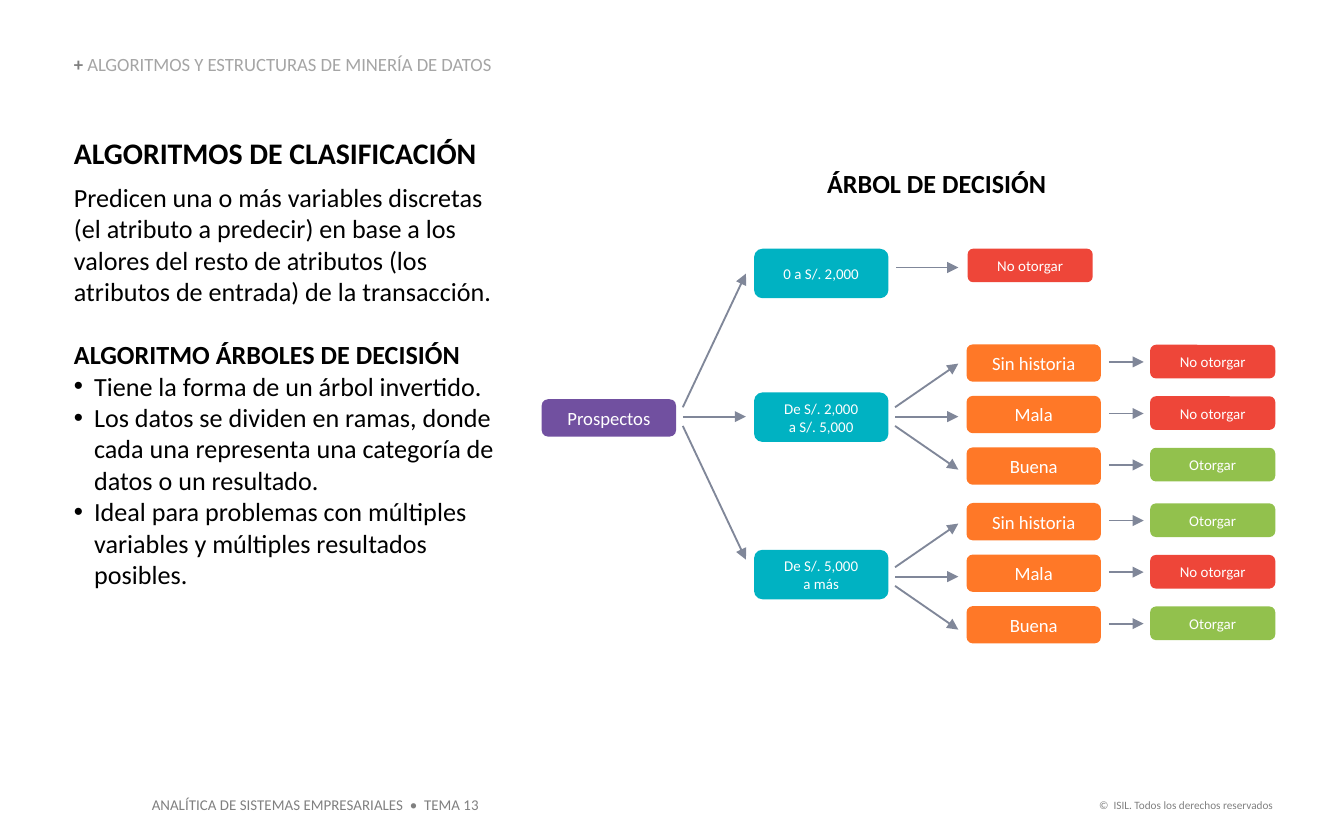
from dataclasses import dataclass

from lxml import etree
from pptx import Presentation
from pptx.dml.color import RGBColor
from pptx.enum import shapes, text
from pptx.oxml import ns
from pptx.util import Pt

BLACK = RGBColor(0x00, 0x00, 0x00)
WHITE = RGBColor(0xFF, 0xFF, 0xFF)
GRAY = RGBColor(0x80, 0x80, 0x80)
DARK = RGBColor(0x7F, 0x7F, 0x7F)
PALE = RGBColor(0xA5, 0xA5, 0xA5)
SLATE = RGBColor(0x80, 0x87, 0x99)
PURPLE = RGBColor(0x71, 0x50, 0xA0)
TEAL = RGBColor(0x00, 0xB2, 0xC2)
ORANGE = RGBColor(0xFF, 0x78, 0x27)
RED = RGBColor(0xEE, 0x46, 0x39)
GREEN = RGBColor(0x92, 0xC1, 0x4D)

FACE = "Calibri"
LEFT, CENTER, RIGHT = text.PP_ALIGN.LEFT, text.PP_ALIGN.CENTER, text.PP_ALIGN.RIGHT
STEP = 27.6  # between the rows of one branch


@dataclass(frozen=True)
class Style:
    left: float
    width: float
    height: float
    size: float


@dataclass(frozen=True)
class Para:
    words: str
    size: float = 14
    bold: bool = False
    bullet: bool = False
    before: float = 0
    after: float = 0


@dataclass(frozen=True)
class Label:
    words: str
    box: tuple[float, float, float, float]
    size: float
    color: RGBColor
    align: text.PP_ALIGN
    bold: bool = False
    wrap: bool = False


ROOT = Style(290.2, 72, 20, 10)
RANGE = Style(404, 72, 26.5, 8)
PAST = Style(517.8, 72, 20, 10)
SHORT = Style(518.4, 67, 18, 8)
RESULT = Style(616.2, 67, 18, 8)

BODY = [
    Para("ALGORITMOS DE CLASIFICACIÓN", size=16, bold=True, after=6),
    Para("Predicen una o más variables discretas (el atributo a predecir) en base "
         "a los valores del resto de atributos (los atributos de entrada) de la "
         "transacción."),
    Para("ALGORITMO ÁRBOLES DE DECISIÓN", bold=True, before=17),
    Para("Tiene la forma de un árbol invertido.", bullet=True),
    Para("Los datos se dividen en ramas, donde cada una representa una categoría "
         "de datos o un resultado.", bullet=True),
    Para("Ideal para problemas con múltiples variables y múltiples resultados "
         "posibles.", bullet=True),
]
LABELS = [
    Label("ANALÍTICA DE SISTEMAS EMPRESARIALES  •  TEMA 13",
          (74.2, 422.6, 190, 17), 8, GRAY, LEFT),
    Label("©  ISIL. Todos los derechos reservados",
          (579.6, 424, 109.4, 14.4), 6, GRAY, RIGHT),
    Label("ÁRBOL DE DECISIÓN", (396, 86.4, 211.7, 24.5), 14, BLACK, CENTER,
          bold=True, wrap=True),
]
RANGES = [("0 a S/. 2,000", 146.5), ("De S/. 2,000\na S/. 5,000", 223.5),
          ("De S/. 5,000\na más", 307.8)]
PASTS = ["Sin historia", "Mala", "Buena"]
YES, NO = ("Otorgar", GREEN), ("No otorgar", RED)
# Centre of the first row, arrow origin, results
BRANCHES = [(194.5, 223.2, [NO, NO, YES]), (279.5, 308.9, [YES, NO, YES])]


def set_font(font, size: float, color: RGBColor, bold: bool = False) -> None:
    font.name, font.size, font.bold = FACE, Pt(size), bold
    font.color.rgb = color


def place(shape, left: float, top: float, width: float, height: float) -> None:
    shape.left, shape.top = Pt(left), Pt(top)
    shape.width, shape.height = Pt(width), Pt(height)


def clear_insets(frame) -> None:
    frame.margin_left = frame.margin_right = Pt(0)
    frame.margin_top = frame.margin_bottom = Pt(0)


def add_node(slide, style: Style, mid: float, words: str, color: RGBColor) -> None:
    """Draw a rounded box whose vertical centre is mid."""
    node = slide.shapes.add_shape(
        shapes.MSO_SHAPE.ROUNDED_RECTANGLE, Pt(style.left),
        Pt(mid - style.height / 2), Pt(style.width), Pt(style.height))
    node.adjustments[0] = 0.17
    node.shadow.inherit = False
    node.fill.solid()
    node.fill.fore_color.rgb = color
    node.line.fill.background()
    frame = node.text_frame
    clear_insets(frame)
    frame.word_wrap = True
    frame.vertical_anchor = text.MSO_ANCHOR.MIDDLE
    frame.text = words
    for para in frame.paragraphs:
        para.alignment = CENTER
        set_font(para.font, style.size, WHITE)


def add_arrow(slide, x1: float, y1: float, x2: float, y2: float) -> None:
    arrow = slide.shapes.add_connector(
        shapes.MSO_CONNECTOR.STRAIGHT, Pt(x1), Pt(y1), Pt(x2), Pt(y2))
    arrow.line.color.rgb = SLATE
    arrow.line.width = Pt(1)
    etree.SubElement(arrow.line._get_or_add_ln(), ns.qn("a:tailEnd"), type="triangle")
    etree.SubElement(arrow._element.spPr, ns.qn("a:effectLst"))


def add_fan(slide, x1: float, x2: float, mid: float, spread: float) -> None:
    """Draw three arrows that open up and down from mid."""
    for side in (-1, 0, 1):
        add_arrow(slide, x1, mid + 5 * side, x2, mid + spread * side)


def add_label(slide, label: Label) -> None:
    frame = slide.shapes.add_textbox(*map(Pt, label.box)).text_frame
    frame.word_wrap = label.wrap
    para = frame.paragraphs[0]
    para.text = label.words
    para.alignment = label.align
    set_font(para.font, label.size, label.color, label.bold)


def fill_title(title) -> None:
    place(title, 39.6, 29.5, 346.3, 10.8)
    frame = title.text_frame
    clear_insets(frame)
    frame.auto_size = text.MSO_AUTO_SIZE.NONE
    frame.vertical_anchor = text.MSO_ANCHOR.BOTTOM
    para = frame.paragraphs[0]
    para.alignment, para.line_spacing = LEFT, 0.9
    for words, color, bold in [("+ ", DARK, True),
                               ("ALGORITMOS Y ESTRUCTURAS DE MINERÍA DE DATOS", PALE, False)]:
        run = para.add_run()
        run.text = words
        set_font(run.font, 10, color, bold)


def fill_body(body) -> None:
    place(body, 39.6, 72, 234, 252.7)
    frame = body.text_frame
    clear_insets(frame)
    frame.auto_size = text.MSO_AUTO_SIZE.NONE
    frame.text = "\n".join(item.words for item in BODY)
    for para, item in zip(frame.paragraphs, BODY):
        para.space_before, para.space_after = Pt(item.before), Pt(item.after)
        props = para._p.get_or_add_pPr()
        indent = Pt(10.8) if item.bullet else 0
        props.set("marL", str(indent))
        props.set("indent", str(-indent))
        if item.bullet:
            etree.SubElement(props, ns.qn("a:buChar"), char="•")
        else:
            etree.SubElement(props, ns.qn("a:buNone"))
        set_font(para.font, item.size, BLACK, item.bold)


def draw_tree(slide) -> None:
    add_node(slide, ROOT, 223.9, "Prospectos", PURPLE)
    add_fan(slide, 365.8, 399.6, 223.2, 76.6)
    for words, mid in RANGES:
        add_node(slide, RANGE, mid, words, TEAL)
    add_arrow(slide, 480.2, 143.3, 513.4, 143.3)
    add_node(slide, SHORT, 142.2, *NO)
    for first, start, results in BRANCHES:
        add_fan(slide, 479.5, 513.4, start, 28.4)
        for row, (past, result) in enumerate(zip(PASTS, results)):
            mid = first + row * STEP
            add_node(slide, PAST, mid, past, ORANGE)
            add_arrow(slide, 594, mid - 0.6, 612.7, mid - 0.6)
            add_node(slide, RESULT, mid - 0.8, *result)


def main() -> None:
    deck = Presentation()
    deck.slide_width, deck.slide_height = Pt(720), Pt(450)
    slide = deck.slides.add_slide(deck.slide_layouts[1])
    fill_title(slide.shapes.title)
    fill_body(slide.placeholders[1])
    draw_tree(slide)
    for label in LABELS:
        add_label(slide, label)
    deck.save("out.pptx")


if __name__ == "__main__":
    main()
